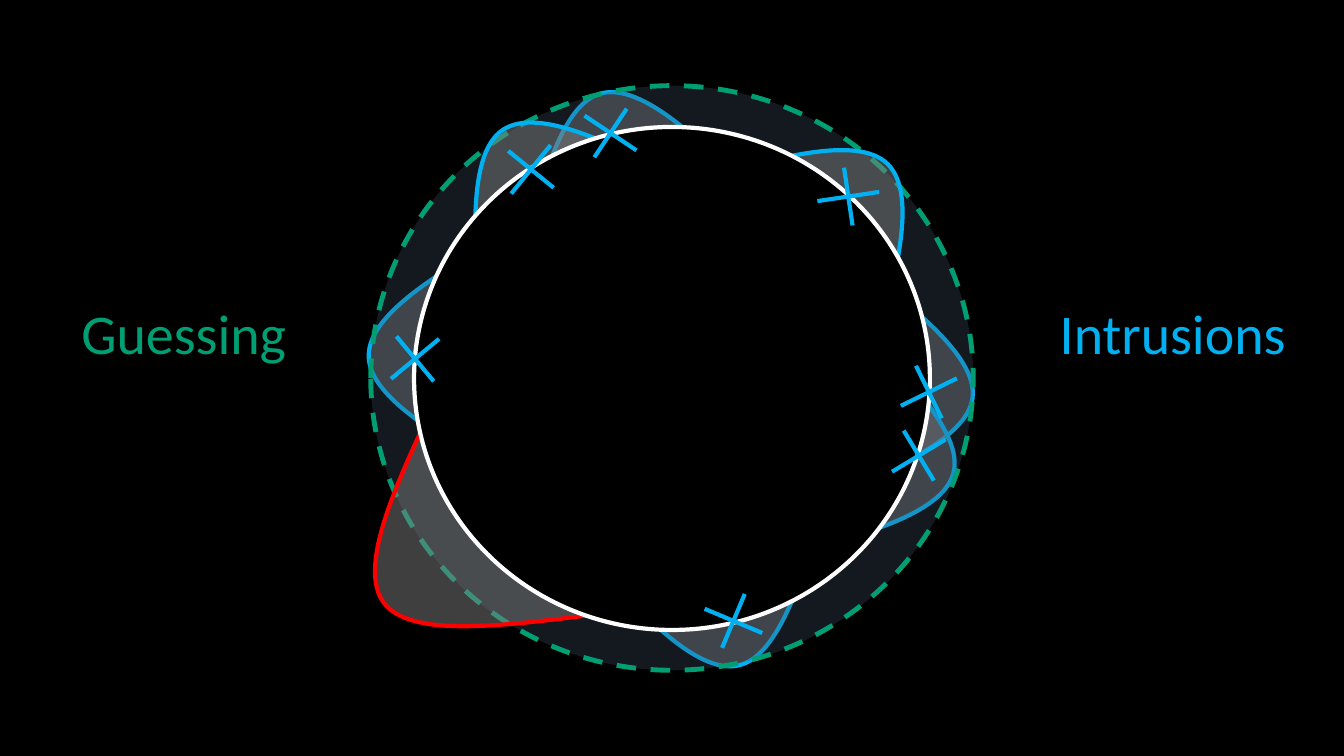
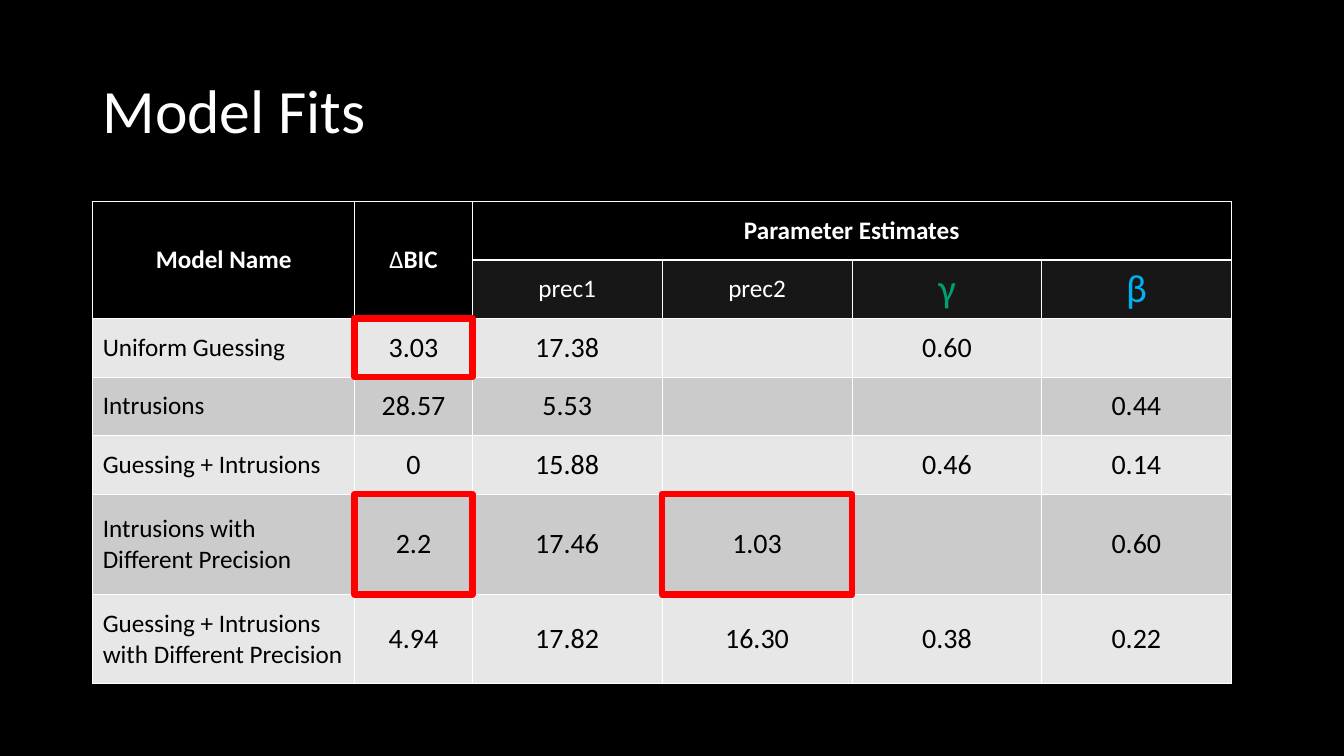
import math

import pptx
import pptx.dml.color
import pptx.enum.dml
import pptx.enum.shapes
import pptx.enum.text
import pptx.oxml.ns
import pptx.oxml.xmlchemy
import pptx.util
from pptx.util import Inches

FONT = "Calibri"
COLOR = {
    "black": "000000", "white": "FFFFFF", "blue": "00B0F0", "green": "009E73",
    "red": "FF0000", "gray": "7F7F7F", "slate": "44546A", "char": "181717",
    "light": "E7E7E7", "mid": "CBCBCB",
}
RGB = {name: pptx.dml.color.RGBColor.from_string(code) for name, code in COLOR.items()}
KIND = pptx.enum.shapes.MSO_SHAPE
ALIGN = pptx.enum.text.PP_ALIGN
MIDDLE = pptx.enum.text.MSO_ANCHOR.MIDDLE
qn = pptx.oxml.ns.qn
make = pptx.oxml.xmlchemy.OxmlElement


def paint(shape, fill, line, width, alpha=100):
    shape.shadow.inherit = False
    shape.line.color.rgb = RGB[line]
    shape.line.width = pptx.util.Pt(width)
    if fill is None:
        shape.fill.background()
        return
    shape.fill.solid()
    shape.fill.fore_color.rgb = RGB[fill]
    if alpha < 100:
        tint = shape._element.spPr.find(qn("a:solidFill"))[0]
        tint.append(make("a:alpha"))
        tint[0].set("val", str(alpha * 1000))


def write(frame, text, size, color, bold=False, align=ALIGN.LEFT):
    para = frame.paragraphs[0]
    para.text = text
    para.alignment = align
    for run in para.runs:
        run.font.name = FONT
        run.font.size = pptx.util.Pt(size)
        run.font.color.rgb = RGB[color]
        run.font.bold = bold
    return para


# Deck with a shared black background
deck = pptx.Presentation()
deck.slide_width = Inches(13.34)
deck.slide_height = Inches(7.5)
back = deck.slide_master.background.fill
back.solid()
back.fore_color.rgb = RGB["black"]
blank = deck.slide_layouts[6]

# Slide 1: rings with humps of response density
ring = deck.slides.add_slide(blank)
shapes = ring.shapes

# One hump about its centre: a start point, then two Bezier curves
HUMP = [(-1.28, 0.78), (-0.86, 0.01), (-0.43, -0.78), (0, -0.78),
        (0.43, -0.78), (0.86, -0.03), (1.28, 0.72)]

# Humps and ellipses from back to front
layers = [
    ("hump", 4.44, 3.53, 270, "blue"),
    ("hump", 8.88, 3.84, 98.2, "blue"),
    ("hump", 8.71, 4.49, 105.3, "blue"),
    ("hump", 7.16, 5.84, 167.5, "blue"),
    ("hump", 6.17, 1.68, 344.6, "blue"),
    ("outer", 3.68, 0.85, 5.98, 5.8),
    ("hump", 8.26, 2.18, 45.1, "blue"),
    ("hump", 5.42, 1.94, 327, "blue"),
    ("hump", 4.44, 5.52, 234.4, "red"),
    ("inner", 4.11, 1.26, 5.12, 4.99),
]
for kind, *data in layers:
    if kind == "hump":
        x, y, turn, color = data
        points = [(Inches(x + dx), Inches(y + dy)) for dx, dy in HUMP]
        pen = shapes.build_freeform(*points[0])
        pen.add_line_segments(points[1:], close=False)
        hump = pen.convert_to_shape()
        # Turn each three straight segments into one curve
        lines = list(hump._element.iter(qn("a:lnTo")))
        for first in (0, 3):
            curve = make("a:cubicBezTo")
            lines[first].addprevious(curve)
            for line in lines[first:first + 3]:
                curve.append(line[0])
                line.getparent().remove(line)
        hump.rotation = turn
        paint(hump, "gray", color, 3, 50)
        continue
    oval = shapes.add_shape(KIND.OVAL, *map(Inches, data))
    if kind == "outer":
        paint(oval, "slate", "green", 3.5, 30)
        oval.line.dash_style = pptx.enum.dml.MSO_LINE.DASH
    else:
        paint(oval, "black", "white", 3)

# Side labels
for text, left, width, color in [("Intrusions", 10.42, 2.45, "blue"),
                                 ("Guessing", 0.71, 2.23, "green")]:
    label = shapes.add_textbox(Inches(left), Inches(2.91), Inches(width), Inches(0.77))
    label.text_frame.word_wrap = False
    write(label.text_frame, text, 40, color)

# Crosses: centre and angle of the long arm
crosses = [(5.27, 1.68, 129.1), (8.42, 1.95, 171.6), (4.12, 3.56, 140.3),
           (6.06, 1.32, 213.7), (9.22, 3.89, 153.9), (9.12, 4.52, 148.9),
           (7.28, 6.16, 202.8)]
for x, y, turn in crosses:
    cross = shapes.add_group_shape()
    for half, angle in [(0.31, turn), (0.29, turn - 90)]:
        dx = half * math.cos(math.radians(angle))
        dy = half * math.sin(math.radians(angle))
        arm = cross.shapes.add_connector(
            pptx.enum.shapes.MSO_CONNECTOR.STRAIGHT,
            Inches(x - dx), Inches(y - dy), Inches(x + dx), Inches(y + dy))
        arm.line.color.rgb = RGB["blue"]
        arm.line.width = pptx.util.Pt(3)
        arm._element.spPr.append(make("a:effectLst"))

# Slide 2: table of model fits
fits = deck.slides.add_slide(blank)
shapes = fits.shapes
title = shapes.add_textbox(Inches(0.92), Inches(0.4), Inches(11.5), Inches(1.45))
title.text_frame.word_wrap = True
title.text_frame.vertical_anchor = MIDDLE
write(title.text_frame, "Model Fits", 44, "white").line_spacing = 0.9

LEFT, TOP = 0.92, 2
cols = [2.6, 1.17, 1.88, 1.89, 1.88, 1.88]
rows = [0.58] * 5 + [1, 0.88]
cells = [
    ["Model Name", "Δ", "Parameter Estimates", "", "", ""],
    ["", "", "prec1", "prec2", "γ", "β"],
    ["Uniform Guessing", "3.03", "17.38", "", "0.60", ""],
    ["Intrusions", "28.57", "5.53", "", "", "0.44"],
    ["Guessing + Intrusions", "0", "15.88", "", "0.46", "0.14"],
    ["Intrusions with Different Precision", "2.2", "17.46", "1.03", "", "0.60"],
    ["Guessing + Intrusions with Different Precision",
     "4.94", "17.82", "16.30", "0.38", "0.22"],
]
greek = {"γ": "green", "β": "blue"}
table = shapes.add_table(len(rows), len(cols), Inches(LEFT), Inches(TOP),
                         Inches(sum(cols)), Inches(sum(rows))).table
table.first_row = table.horz_banding = False
for col, width in zip(table.columns, cols):
    col.width = Inches(width)
for row, height in zip(table.rows, rows):
    row.height = Inches(height)
table.cell(0, 0).merge(table.cell(1, 0))
table.cell(0, 1).merge(table.cell(1, 1))
table.cell(0, 2).merge(table.cell(0, 5))

for r, texts in enumerate(cells):
    for c, text in enumerate(texts):
        cell = table.cell(r, c)
        cell.vertical_anchor = MIDDLE
        # Borders, thicker around the header parts
        thick = {
            "L": r < 2 and c == 2,
            "R": r < 2 and c == 1,
            "T": r == 1 or (r == 2 and c < 2),
            "B": r == 0 or (r == 1 and c < 2),
        }
        props = cell._tc.get_or_add_tcPr()
        for side, wide in thick.items():
            edge = make("a:ln" + side)
            edge.set("w", str(pptx.util.Pt(1.47 if wide else 0.45)))
            ink = make("a:solidFill")
            ink.append(make("a:srgbClr"))
            ink[0].set("val", COLOR["white"])
            edge.append(ink)
            props.append(edge)
        # Fill
        if r < 2:
            fill = "black" if r == 0 or c < 2 else "char"
        else:
            fill = "mid" if r % 2 else "light"
        cell.fill.solid()
        cell.fill.fore_color.rgb = RGB[fill]
        # Text
        if not text:
            continue
        size = 28 if text in greek else 20 if r > 1 and c else 18
        color = greek.get(text, "white" if r < 2 else "black")
        align = ALIGN.LEFT if r > 1 and c == 0 else ALIGN.CENTER
        write(cell.text_frame, text, size, color, r == 0 and text != "Δ", align)

# Bold second half of the ΔBIC heading
tail = table.cell(0, 1).text_frame.paragraphs[0].add_run()
tail.text = "BIC"
tail.font.name = FONT
tail.font.size = pptx.util.Pt(18)
tail.font.color.rgb = RGB["white"]
tail.font.bold = True

# Red frames around the key cells
for r, c in [(2, 1), (5, 1), (5, 3)]:
    frame = shapes.add_shape(
        KIND.RECTANGLE, Inches(LEFT + sum(cols[:c])), Inches(TOP + sum(rows[:r])),
        Inches(cols[c]), Inches(rows[r]))
    paint(frame, None, "red", 4.5)

deck.save("out.pptx")
